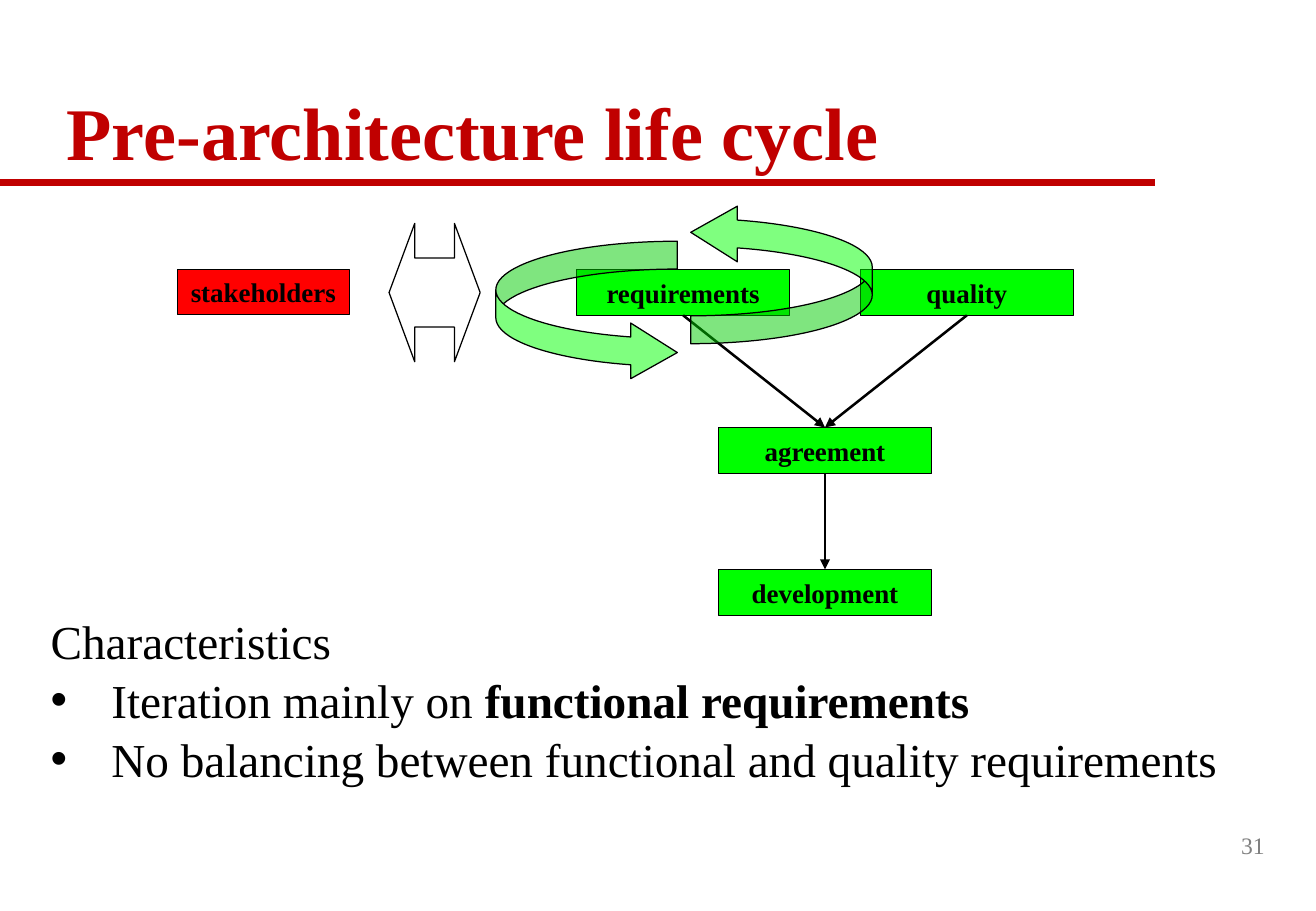
from dataclasses import dataclass

from lxml import etree
from pptx import Presentation
from pptx.dml.color import RGBColor
from pptx.enum.shapes import MSO_CONNECTOR, MSO_SHAPE
from pptx.enum.text import MSO_ANCHOR, PP_ALIGN
from pptx.oxml.ns import qn
from pptx.util import Pt

STRAIGHT = MSO_CONNECTOR.STRAIGHT
RECTANGLE = MSO_SHAPE.RECTANGLE
CURVED_ARROW = MSO_SHAPE.CURVED_RIGHT_ARROW
DOUBLE_ARROW = MSO_SHAPE.LEFT_RIGHT_ARROW
TOP, MIDDLE, BOTTOM = MSO_ANCHOR.TOP, MSO_ANCHOR.MIDDLE, MSO_ANCHOR.BOTTOM
LEFT, CENTER, RIGHT = PP_ALIGN.LEFT, PP_ALIGN.CENTER, PP_ALIGN.RIGHT
TOP_SITE, BOTTOM_SITE = 0, 2  # connection sites of a rectangle


@dataclass(frozen=True)
class Theme:
    font: str = "Times New Roman"
    accent: str = "C00000"
    ink: str = "000000"
    muted: str = "808080"
    activity: str = "00FF00"
    people: str = "FF0000"
    title_size: float = 44
    body_size: float = 28
    label_size: float = 16
    number_size: float = 14
    outline: float = 0.75
    arrow: float = 1.5
    rule: float = 4


def write(paragraph, text, *, font, size, color, bold=False, align=LEFT,
          spacing=None, bullet=None, indent=0):
    """Append a run to a paragraph and set the paragraph's layout."""
    run = paragraph.add_run()
    run.text = text
    run.font.name, run.font.size, run.font.bold = font, Pt(size), bold
    run.font.color.rgb = RGBColor.from_string(color)
    paragraph.alignment = align
    if spacing:
        paragraph.line_spacing = spacing
    properties = paragraph._p.get_or_add_pPr()
    if bullet and properties.find(qn("a:buChar")) is None:
        properties.set("marL", str(Pt(indent)))
        properties.set("indent", str(-Pt(indent)))
        etree.SubElement(properties, qn("a:buFont")).set("typeface", "Arial")
        etree.SubElement(properties, qn("a:buChar")).set("char", bullet)


class SlideBuilder:
    def __init__(self, slide, theme):
        self.shapes = slide.shapes
        self.theme = theme

    def frame(self, shape, anchor, inset):
        frame = shape.text_frame
        frame.word_wrap = True
        frame.vertical_anchor = anchor
        frame.margin_left = frame.margin_right = Pt(inset)
        frame.margin_top = frame.margin_bottom = Pt(3.6)
        return frame

    def text(self, box, paragraphs, anchor=TOP, **style):
        """Each paragraph is (runs, layout); each run is (text, bold)."""
        shape = self.shapes.add_textbox(*map(Pt, box))
        frame = self.frame(shape, anchor, 7.2)
        for index, (runs, layout) in enumerate(paragraphs):
            paragraph = frame.add_paragraph() if index else frame.paragraphs[0]
            for words, bold in runs:
                write(paragraph, words, font=self.theme.font, bold=bold,
                      **style, **layout)

    def shape(self, kind, box, fill=None, opacity=None, adjustments=(), rotation=0):
        shape = self.shapes.add_shape(kind, *map(Pt, box))
        shape.shadow.inherit = False
        shape.rotation = rotation
        for index, value in enumerate(adjustments):
            shape.adjustments[index] = value
        if fill:
            shape.fill.solid()
            shape.fill.fore_color.rgb = RGBColor.from_string(fill)
        else:
            shape.fill.background()
        if opacity:
            color = shape._element.spPr.find(qn("a:solidFill"))[0]
            etree.SubElement(color, qn("a:alpha")).set("val", str(opacity * 1000))
        shape.line.color.rgb = RGBColor.from_string(self.theme.ink)
        shape.line.width = Pt(self.theme.outline)
        return shape

    def label_box(self, label, box, fill):
        shape = self.shape(RECTANGLE, box, fill)
        frame = self.frame(shape, MIDDLE, 0)
        write(frame.paragraphs[0], label, font=self.theme.font,
              size=self.theme.label_size, color=self.theme.ink, bold=True,
              align=CENTER)
        return shape

    def line(self, start, end, color, width):
        line = self.shapes.add_connector(STRAIGHT, *map(Pt, (*start, *end)))
        line.line.color.rgb = RGBColor.from_string(color)
        line.line.width = Pt(width)
        etree.SubElement(line._element.spPr, qn("a:effectLst"))
        return line

    def flow(self, source, target):
        """Arrow from the bottom of one box to the top of another."""
        arrow = self.line((0, 0), (0, 0), self.theme.ink, self.theme.arrow)
        arrow.begin_connect(source, BOTTOM_SITE)
        arrow.end_connect(target, TOP_SITE)
        outline = arrow.line._get_or_add_ln()
        etree.SubElement(outline, qn("a:tailEnd")).set("type", "triangle")


def main():
    theme = Theme()
    deck = Presentation()
    deck.slide_width, deck.slide_height = Pt(780), Pt(540)
    page = SlideBuilder(deck.slides.add_slide(deck.slide_layouts[6]), theme)

    # Title, rule and page number
    page.line((0, 108), (684.5, 108), theme.accent, theme.rule)
    page.text((510, 483, 246.7, 36), [([("31", False)], {"align": RIGHT})],
              MIDDLE, size=theme.number_size, color=theme.muted)
    page.text((32.4, 21, 711.4, 87),
              [([("Pre-architecture life cycle", True)], {"spacing": 0.9})],
              BOTTOM, size=theme.title_size, color=theme.accent)

    # Activities: two side by side, the next ones centred below
    left, step = 341.8, 84.1
    activities = {
        name: page.label_box(name, (left + column * step, top, 126.2, 27.3),
                             theme.activity)
        for name, column, top in (
            ("requirements", 0, 159.6),
            ("agreement", 1, 253.4),
            ("quality", 2, 159.6),
            ("development", 1, 337.5),
        )
    }
    for source, target in (("requirements", "agreement"),
                           ("quality", "agreement"),
                           ("agreement", "development")):
        page.flow(activities[source], activities[target])

    # Iteration loop
    for x, y, rotation in ((293.9, 143, 0), (409.4, 121.2, 180)):
        page.shape(CURVED_ARROW, (x, y, 107.6, 82.5), theme.activity, 50,
                   (0.2, 0.4, 0.335), rotation)

    # Stakeholders and their exchange with the loop
    page.label_box("stakeholders", (105.1, 159.9, 102, 26.6), theme.people)
    page.shape(DOUBLE_ARROW, (230.6, 132.4, 54, 82), adjustments=(0.5, 0.282))

    # Characteristics
    heading = {"spacing": 1.04}
    point = {**heading, "bullet": "•", "indent": 36}
    page.text((23, 358, 720, 141), [
        ([("Characteristics", False)], heading),
        ([("Iteration mainly on ", False), ("functional requirements", True)], point),
        ([("No balancing between functional and quality requirements", False)], point),
    ], size=theme.body_size, color=theme.ink)

    deck.save("out.pptx")


if __name__ == "__main__":
    main()
